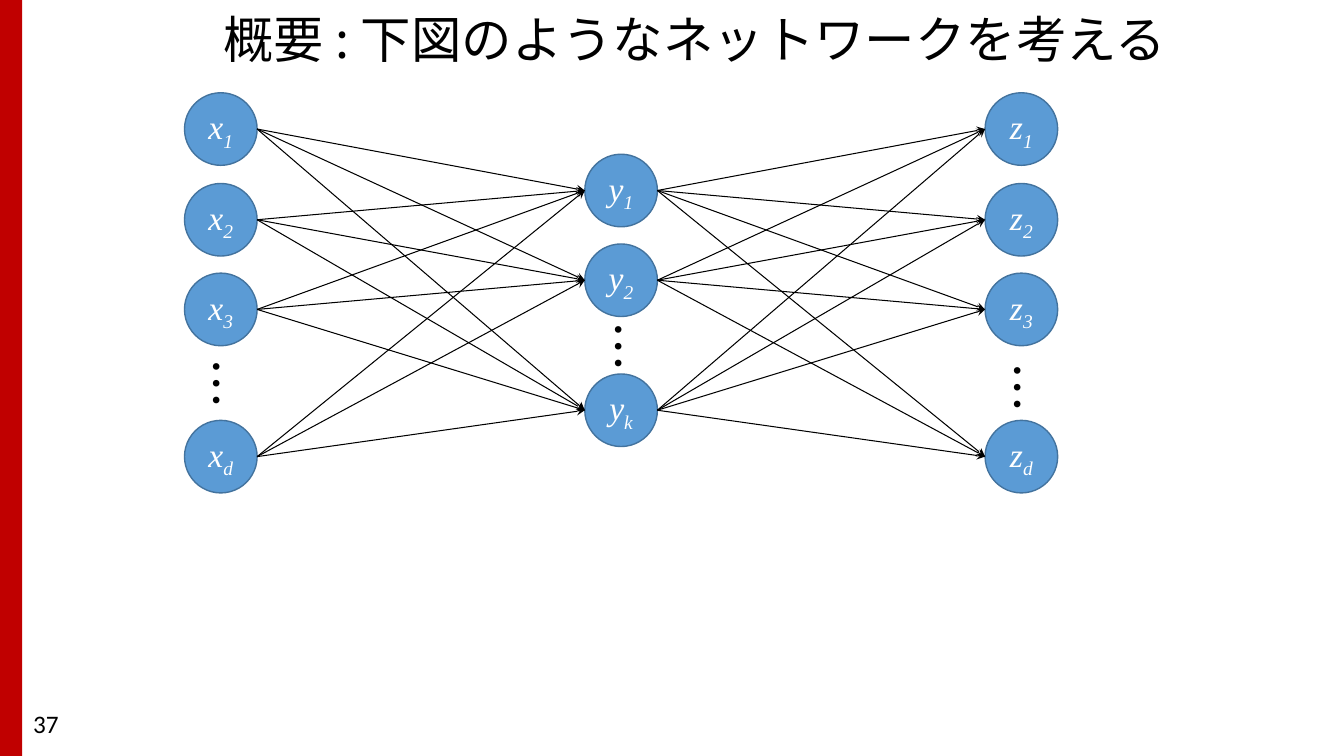
from dataclasses import dataclass
from itertools import product

from lxml import etree
from pptx import Presentation
from pptx.dml.color import RGBColor
from pptx.enum.shapes import MSO_CONNECTOR, MSO_SHAPE
from pptx.enum.text import MSO_ANCHOR, PP_ALIGN
from pptx.oxml.ns import qn
from pptx.util import Inches, Pt

CENTER, LEFT = PP_ALIGN.CENTER, PP_ALIGN.LEFT
MIDDLE, TOP = MSO_ANCHOR.MIDDLE, MSO_ANCHOR.TOP
OVAL, RECTANGLE = MSO_SHAPE.OVAL, MSO_SHAPE.RECTANGLE
STRAIGHT = MSO_CONNECTOR.STRAIGHT
TITLE_ONLY = 5


@dataclass(frozen=True)
class Theme:
    red: RGBColor = RGBColor(0xC0, 0x00, 0x00)
    blue: RGBColor = RGBColor(0x5B, 0x9B, 0xD5)
    outline: RGBColor = RGBColor(0x43, 0x73, 0x9E)
    black: RGBColor = RGBColor(0, 0, 0)
    white: RGBColor = RGBColor(0xFF, 0xFF, 0xFF)
    heading_font: str = "Noto Sans CJK JP"
    math_font: str = "Times New Roman"
    number_font: str = "Calibri"
    heading_size: int = 36
    math_size: int = 24
    number_size: int = 18


@dataclass(frozen=True)
class Layer:
    letter: str
    left: float
    tops: dict[str, float]
    dots_left: float
    dots_top: float


THEME = Theme()
NODE_SIZE = 0.72
OUTER_TOPS = {"1": 0.92, "2": 1.82, "3": 2.71, "d": 4.17}
LAYERS = [
    Layer("x", 1.83, OUTER_TOPS, 1.7, 3.59),
    Layer("y", 5.8, {"1": 1.53, "2": 2.42, "k": 3.71}, 5.68, 3.23),
    Layer("z", 9.77, OUTER_TOPS, 9.64, 3.63),
]
HEADING = {"name": THEME.heading_font, "size": Pt(THEME.heading_size)}
MATH = {"name": THEME.math_font, "size": Pt(THEME.math_size), "italic": True}
NUMBER = {"name": THEME.number_font, "size": Pt(THEME.number_size)}


def add_run(paragraph, text: str, formats: dict, color: RGBColor):
    run = paragraph.add_run()
    run.text = text
    for attribute, value in formats.items():
        setattr(run.font, attribute, value)
    run.font.color.rgb = color
    east_asian = etree.SubElement(run._r.get_or_add_rPr(), qn("a:ea"))
    east_asian.set("typeface", formats["name"])
    return run


def place(shape, left: float, top: float, width: float, height: float) -> None:
    box = {"left": left, "top": top, "width": width, "height": height}
    for attribute, value in box.items():
        setattr(shape, attribute, Inches(value))


def write_line(shape, text: str, formats: dict, align, anchor, spacing: float) -> None:
    frame = shape.text_frame
    frame.word_wrap = True
    frame.vertical_anchor = anchor
    paragraph = frame.paragraphs[0]
    paragraph.alignment = align
    paragraph.line_spacing = spacing
    paragraph.space_before = Pt(0)
    add_run(paragraph, text, formats, THEME.black)


def add_node(slide, layer: Layer, index: str, top: float) -> None:
    size = Inches(NODE_SIZE)
    node = slide.shapes.add_shape(OVAL, Inches(layer.left), Inches(top), size, size)
    node.shadow.inherit = False
    node.fill.solid()
    node.fill.fore_color.rgb = THEME.blue
    node.line.color.rgb = THEME.outline
    node.line.width = Pt(1)
    frame = node.text_frame
    for side in ("left", "top", "right", "bottom"):
        setattr(frame, f"margin_{side}", 0)
    frame.vertical_anchor = MIDDLE
    paragraph = frame.paragraphs[0]
    paragraph.alignment = CENTER
    add_run(paragraph, layer.letter, MATH, THEME.white)
    subscript = add_run(paragraph, index, MATH, THEME.white)
    subscript._r.get_or_add_rPr().set("baseline", "-25000")


def add_edge(slide, source: Layer, start_top: float, target: Layer, end_top: float) -> None:
    radius = NODE_SIZE / 2
    edge = slide.shapes.add_connector(
        STRAIGHT,
        Inches(source.left + NODE_SIZE), Inches(start_top + radius),
        Inches(target.left), Inches(end_top + radius),
    )
    edge.line.color.rgb = THEME.black
    edge.line.width = Pt(0.75)
    etree.SubElement(edge.line._get_or_add_ln(), qn("a:tailEnd")).set("type", "stealth")
    etree.SubElement(edge._element.spPr, qn("a:effectLst"))


def add_dots(slide, layer: Layer) -> None:
    dots = slide.shapes.add_textbox(0, 0, 0, 0)
    place(dots, layer.dots_left, layer.dots_top, 0.88, 0.61)
    dots.rotation = 90
    write_line(dots, "…", HEADING, LEFT, TOP, 0.9)


def main() -> None:
    presentation = Presentation()
    presentation.slide_width = Inches(13.33)
    presentation.slide_height = Inches(7.5)
    slide = presentation.slides.add_slide(presentation.slide_layouts[TITLE_ONLY])

    # Side bar
    side_bar = slide.shapes.add_shape(RECTANGLE, 0, 0, Inches(0.22), Inches(7.5))
    side_bar.shadow.inherit = False
    side_bar.fill.solid()
    side_bar.fill.fore_color.rgb = THEME.red
    side_bar.line.fill.background()

    # Title and page number
    title = slide.shapes.title
    place(title, 1.17, 0.02, 11.44, 0.8)
    write_line(title, "概要 : 下図のようなネットワークを考える", HEADING, CENTER, MIDDLE, 0.9)
    page_number = slide.shapes.add_textbox(0, 0, 0, 0)
    place(page_number, 0.23, 6.98, 3, 0.4)
    write_line(page_number, "37", NUMBER, LEFT, TOP, 1.0)

    # Network nodes
    for layer in LAYERS:
        for index, top in layer.tops.items():
            add_node(slide, layer, index, top)

    # Full connections between neighbouring layers
    for source, target in zip(LAYERS, LAYERS[1:]):
        for start_top, end_top in product(source.tops.values(), target.tops.values()):
            add_edge(slide, source, start_top, target, end_top)

    # Omitted nodes
    for layer in LAYERS:
        add_dots(slide, layer)

    presentation.save("out.pptx")


if __name__ == "__main__":
    main()
